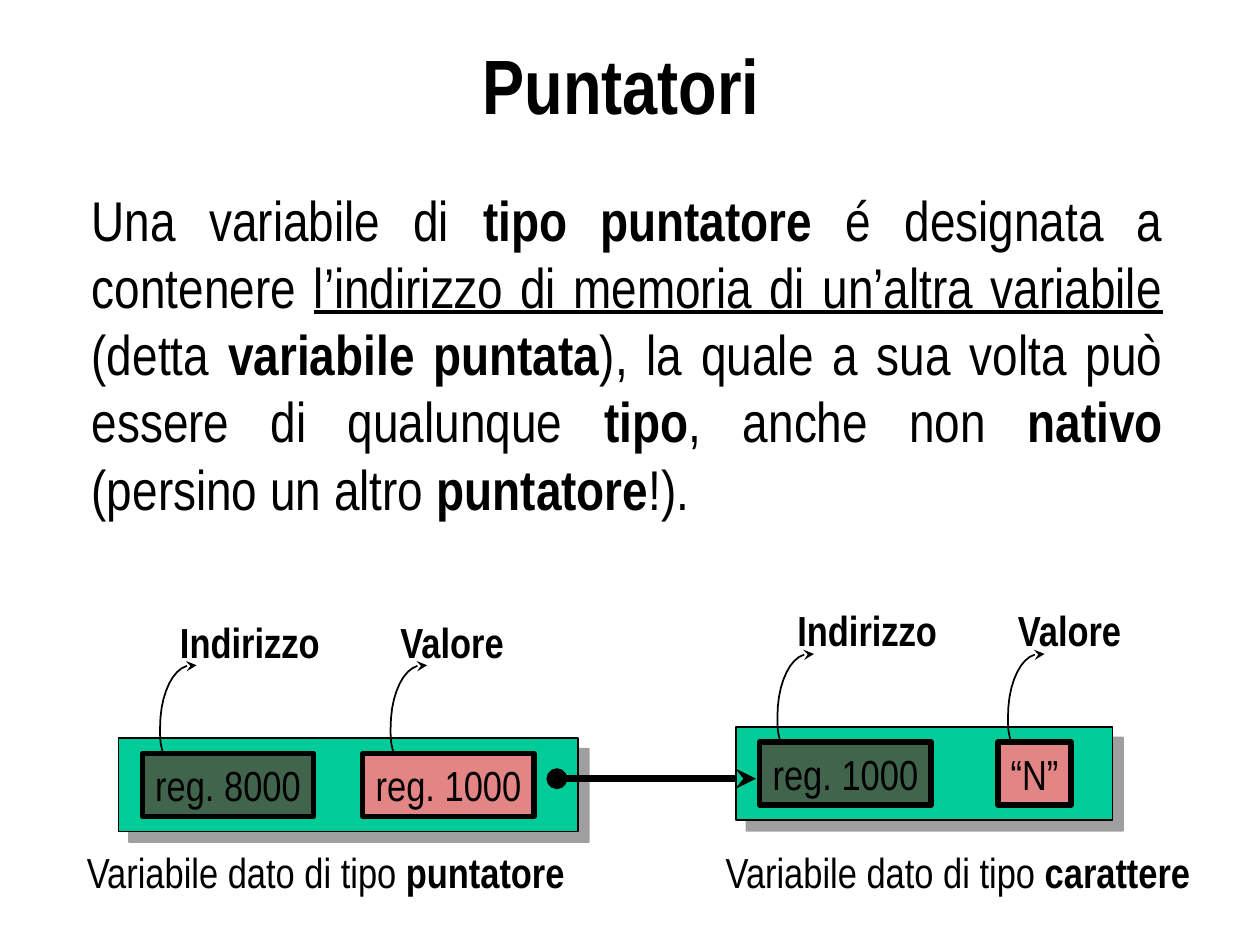
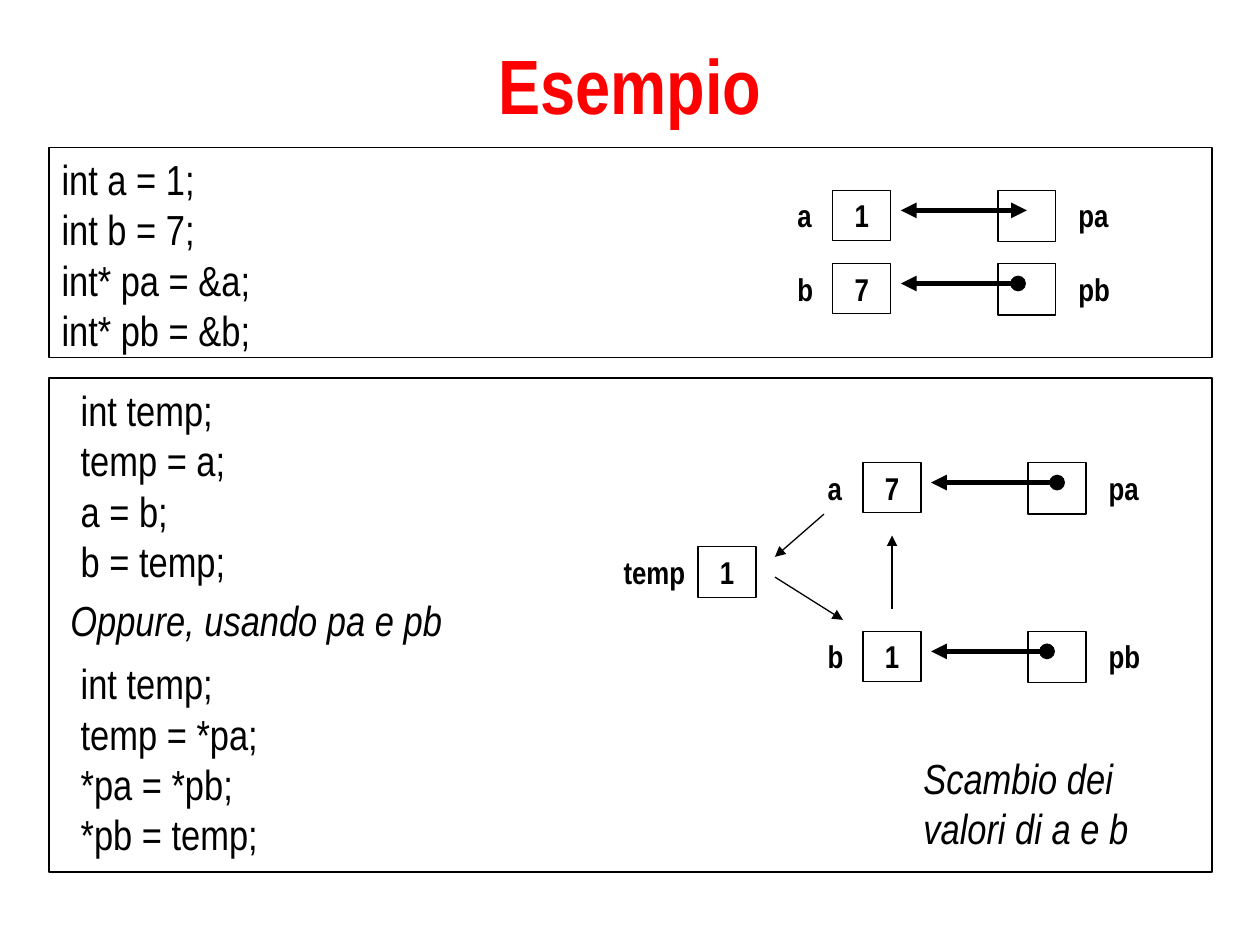
from dataclasses import dataclass

from lxml import etree
from pptx import Presentation
from pptx.dml.color import RGBColor
from pptx.enum.shapes import MSO_CONNECTOR, MSO_SHAPE
from pptx.enum.text import MSO_ANCHOR, PP_ALIGN
from pptx.oxml.ns import qn
from pptx.util import Inches, Pt

RECTANGLE = MSO_SHAPE.RECTANGLE
STRAIGHT = MSO_CONNECTOR.STRAIGHT
TOP, MIDDLE = MSO_ANCHOR.TOP, MSO_ANCHOR.MIDDLE
LEFT, CENTER, JUSTIFY = PP_ALIGN.LEFT, PP_ALIGN.CENTER, PP_ALIGN.JUSTIFY


@dataclass(frozen=True)
class Theme:
    font: str = "Arial Narrow"
    ink: str = "000000"
    paper: str = "FFFFFF"
    accent: str = "FF0000"
    variable: str = "00CC99"
    address: str = "800000"
    value: str = "E48585"
    shadow: str = "808080"
    title: int = 44
    body: int = 32
    text: int = 24
    cell: int = 18


THEME = Theme()
PLAIN, BOLD, ITALIC, UNDERLINE = {}, {"bold": True}, {"italic": True}, {"underline": True}


def add_box(slide, at, paragraphs=(), size=THEME.text, fill=None, line=None,
            align=LEFT, anchor=TOP, wrap=True, inset=0.1):
    """Add a rectangle, or a text box if it has no line; a paragraph is a list of (text, format)."""
    place = [Inches(length) for length in at]
    if line is None:
        box = slide.shapes.add_textbox(*place)
    else:
        box = slide.shapes.add_shape(RECTANGLE, *place)
        box.shadow.inherit = False
        box.line.color.rgb = RGBColor.from_string(THEME.ink)
        box.line.width = Pt(line)
        if fill:
            box.fill.solid()
            box.fill.fore_color.rgb = RGBColor.from_string(fill)
        else:
            box.fill.background()
    frame = box.text_frame
    frame.word_wrap, frame.vertical_anchor = wrap, anchor
    frame.margin_left = Inches(inset)
    for index, runs in enumerate(paragraphs):
        paragraph = frame.add_paragraph() if index else frame.paragraphs[0]
        paragraph.alignment = align
        for text, run_format in runs:
            run = paragraph.add_run()
            run.text = text
            run.font.color.rgb = RGBColor.from_string(THEME.ink)
            for name, setting in {"name": THEME.font, "size": Pt(size), **run_format}.items():
                setattr(run.font, name, setting)
    return box


def style_arrow(arrow, width, tail, head=None):
    arrow.line.color.rgb = RGBColor.from_string(THEME.ink)
    arrow.line.width = Pt(width)
    outline = arrow.line._get_or_add_ln()
    for tag, kind in (("a:headEnd", head), ("a:tailEnd", tail)):
        if kind:
            etree.SubElement(outline, qn(tag), type=kind)
    etree.SubElement(arrow.element.spPr, qn("a:effectLst"))


deck = Presentation()
deck.slide_width, deck.slide_height = Inches(10), Inches(7.5)

slides = []
for heading, color, left, width in (("Puntatori ", THEME.ink, 0.75, 8.5),
                                    ("Esempio", THEME.accent, 0.25, 9.5)):
    slide = deck.slides.add_slide(deck.slide_layouts[5])
    title = slide.shapes.title
    title.left, title.top = Inches(left), Inches(0.25)
    title.width, title.height = Inches(width), Inches(0.83)
    title.text_frame.text = heading
    title.text_frame.vertical_anchor = MIDDLE
    paragraph = title.text_frame.paragraphs[0]
    paragraph.alignment = CENTER
    paragraph.font.color.rgb = RGBColor.from_string(color)
    for name, setting in {"name": THEME.font, "size": Pt(THEME.title), **BOLD}.items():
        setattr(paragraph.font, name, setting)
    slides.append(slide)
pointers, example = slides

# Slide 1: definition and the two variables
definition = [
    ("Una variabile di ", PLAIN), ("tipo puntatore", BOLD),
    (" é designata a contenere ", PLAIN),
    ("l’indirizzo di memoria di un’altra variabile", UNDERLINE),
    (" (detta ", PLAIN), ("variabile puntata", BOLD),
    ("), la quale a sua volta può essere di qualunque ", PLAIN), ("tipo", BOLD),
    (", anche non ", PLAIN), ("nativo", BOLD),
    (" (persino un altro ", PLAIN), ("puntatore", BOLD), ("!). ", PLAIN),
]
add_box(pointers, (0.63, 1.42, 8.7, 5.58), [definition], THEME.body, align=JUSTIFY)

# Callout curve as Bezier control points, from the cell up to its label
callout = (((0.02, 0.68), (0, 0.62), (0, 0.56), (0, 0.5)),
           ((0, 0.5), (0, 0.22), (0.11, 0), (0.25, 0)),
           ((0.25, 0), (0.26, 0), (0.28, 0), (0.29, 0)))
STEPS = 10
curve = [callout[0][0]]
for controls in callout:
    for step in range(1, STEPS + 1):
        t = step / STEPS
        weights = ((1 - t) ** 3, 3 * t * (1 - t) ** 2, 3 * t ** 2 * (1 - t), t ** 3)
        curve.append([sum(w * point[axis] for w, point in zip(weights, controls))
                      for axis in (0, 1)])

variables = (
    # left, top, width, address, value, value offset, value width, type, caption left and width
    (5.84, 5.77, 2.99, "reg. 1000", "“N”", 2.08, 0.58, "carattere", 5.66, 3.91),
    (0.94, 5.86, 3.65, "reg. 8000", "reg. 1000", 1.94, 1.36, "puntatore", 0.59, 4.02),
)
for (left, top, width, address, value, value_offset, value_width,
     kind, caption_left, caption_width) in variables:
    variable = add_box(pointers, (left, top, width, 0.74), fill=THEME.variable, line=1)
    effects = variable.element.spPr.find(qn("a:effectLst"))
    shadow = etree.SubElement(effects, qn("a:outerShdw"), dist=str(Pt(8.5)),
                              dir="2700000", algn="ctr", rotWithShape="0")
    shade = etree.SubElement(shadow, qn("a:srgbClr"), val=THEME.shadow)
    etree.SubElement(shade, qn("a:alpha"), val="75000")

    for text, fill, offset, cell_width in ((address, THEME.address, 0.19, 1.36),
                                           (value, THEME.value, value_offset, value_width)):
        cell = add_box(pointers, (left + offset, top + 0.12, cell_width, 0.5),
                       [[(text, PLAIN)]], fill=fill, line=3,
                       align=CENTER, anchor=MIDDLE, wrap=False)
        if fill == THEME.address:
            tint = cell.element.spPr.find(qn("a:solidFill")).find(qn("a:srgbClr"))
            etree.SubElement(tint, qn("a:alpha"), val="50000")

    for label, offset, label_width in (("Indirizzo", 0.33, 1.31), ("Valore", 2.16, 1.04)):
        label_left = left + (0.39 if label == "Indirizzo" else 2.14)
        add_box(pointers, (label_left, top - 1.02, label_width, 0.5),
                [[(label, BOLD)]], wrap=False)
        points = [(Inches(left + offset + x), Inches(top - 0.58 + y)) for x, y in curve]
        outline = pointers.shapes.build_freeform(*points[0])
        outline.add_line_segments(points[1:], close=False)
        callout_arrow = outline.convert_to_shape()
        callout_arrow.fill.background()
        style_arrow(callout_arrow, 1, "stealth")

    add_box(pointers, (caption_left, 6.67, caption_width, 0.5),
            [[("Variabile dato di tipo ", PLAIN), (kind, BOLD)]], wrap=False)

reference = pointers.shapes.add_connector(STRAIGHT, Inches(4.42), Inches(6.18),
                                          Inches(6), Inches(6.18))
style_arrow(reference, 4, "stealth", "oval")

# Slide 2: code panels and notes
declarations = ("int a = 1;", "int b = 7;", "int* pa = &a;", "int* pb = &b;")
swap = ("int temp;", "temp = a;", "a = b;", "b = temp;")
pointer_swap = ("int temp;", "temp = *pa;", "*pa = *pb;", "*pb = temp;")
for at, code, line, inset in (((0.39, 1.17, 9.23, 1.67), declarations, 0.75, 0.1),
                              ((0.39, 3, 9.23, 3.92), swap, 0.75, 0.25),
                              ((0.39, 5.17, 2.85, 1.75), pointer_swap, None, 0.25)):
    add_box(example, at, [[(statement, PLAIN)] for statement in code],
            fill=THEME.paper, line=line, inset=inset)
for at, note in (((7.23, 5.92, 2.38, 1), "Scambio dei valori di a e b"),
                 ((0.46, 4.67, 3.69, 0.58), "Oppure, usando pa e pb")):
    add_box(example, at, [[(note, ITALIC)]])

# Memory cells: left, top, value, name, name offset, name width
cells = (
    (6.61, 1.51, "1", "a", -0.38, 0.61),
    (6.61, 2.09, "7", "b", -0.38, 0.61),
    (6.85, 3.67, "7", "a", -0.38, 0.61),
    (6.85, 5.01, "1", "b", -0.38, 0.61),
    (5.54, 4.34, "1", "temp", -0.69, 0.92),
)
for left, top, value, name, offset, width in cells:
    add_box(example, (left, top, 0.46, 0.4), [[(value, BOLD)]], THEME.cell,
            line=0.75, align=CENTER)
    add_box(example, (left + offset, top, width, 0.4), [[(name, BOLD)]], THEME.cell)

# Each pointer cell sits to the right of the variable it points to
arrow_starts = (("pa", 1.54, "triangle"), ("pb", 1.47, "oval"),
                ("pa", 1.54, "oval"), ("pb", 1.46, "oval"))
for (left, top, *_), (name, start, head) in zip(cells, arrow_starts):
    add_box(example, (left + 1.31, top, 0.46, 0.41), line=0.75)
    add_box(example, (left + 1.85, top, 0.61, 0.4), [[(name, BOLD)]], THEME.cell)
    link = example.shapes.add_connector(STRAIGHT, Inches(left + start), Inches(top + 0.16),
                                        Inches(left + 0.54), Inches(top + 0.16))
    style_arrow(link, 3, "triangle", head)

for ends in ((6.54, 4.08, 6.15, 4.42), (6.15, 4.58, 6.69, 4.92), (7.08, 4.83, 7.08, 4.25)):
    move = example.shapes.add_connector(STRAIGHT, *[Inches(end) for end in ends])
    style_arrow(move, 0.75, "triangle")

deck.save("out.pptx")
